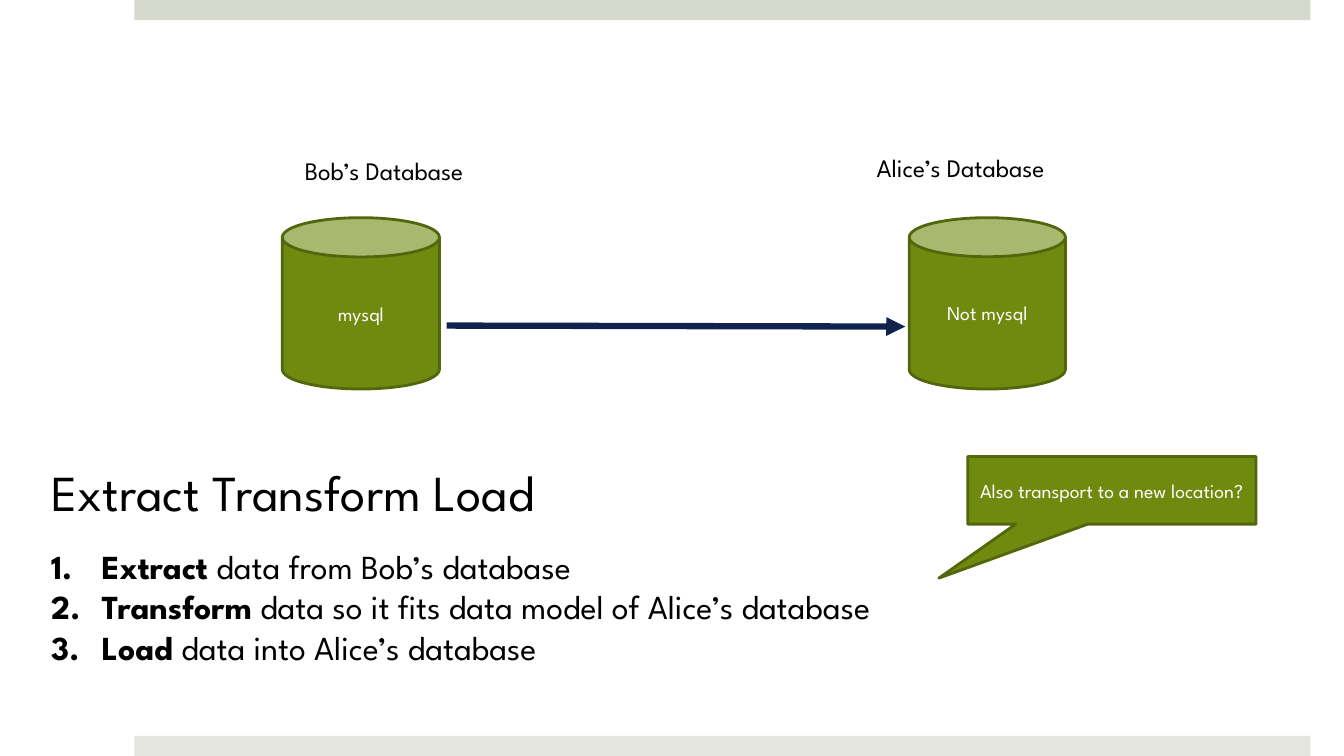
from dataclasses import dataclass

from lxml import etree
from pptx import Presentation
from pptx.dml.color import RGBColor
from pptx.enum.shapes import MSO_CONNECTOR, MSO_SHAPE
from pptx.enum.text import MSO_ANCHOR, PP_ALIGN
from pptx.oxml.ns import qn
from pptx.shapes.autoshape import Shape
from pptx.slide import Slide
from pptx.text.text import TextFrame, _Paragraph
from pptx.util import Inches, Pt

RECTANGLE = MSO_SHAPE.RECTANGLE
CAN = MSO_SHAPE.CAN
CALLOUT = MSO_SHAPE.RECTANGULAR_CALLOUT
STRAIGHT = MSO_CONNECTOR.STRAIGHT
CENTER = PP_ALIGN.CENTER
MIDDLE = MSO_ANCHOR.MIDDLE

SLIDE_WIDTH, SLIDE_HEIGHT = Inches(13.33), Inches(7.5)
COLUMNS, ROWS = 40, 30


@dataclass(frozen=True)
class Theme:
    font: str = "League Spartan"
    top_bar: str = "D6D9CD"
    bottom_bar: str = "E4E6DE"
    fill: str = "6F8A0F"
    outline: str = "52660B"
    arrow: str = "10224E"
    light_text: str = "FFFFFF"
    dark_text: str = "000000"
    small: int = 14
    label: int = 18
    body: int = 24
    title: int = 36
    outline_width: float = 2
    arrow_width: float = 4.5
    list_gap: int = 17


THEME = Theme()


@dataclass(frozen=True)
class Area:
    """A box in grid columns and rows."""
    column: float
    row: float
    columns: float
    rows: float

    def box(self) -> tuple[int, int, int, int]:
        return (across(self.column), down(self.row),
                across(self.columns), down(self.rows))


@dataclass(frozen=True)
class Bar:
    row: float
    color: str


@dataclass(frozen=True)
class Database:
    label: str
    engine: str
    label_area: Area
    can_area: Area


@dataclass(frozen=True)
class Step:
    verb: str
    detail: str


BARS = (Bar(0, THEME.top_bar), Bar(29.2, THEME.bottom_bar))
DATABASES = (
    Database("Bob’s Database", "mysql",
             Area(6.93, 5.96, 9, 1.6), Area(8.4, 8.64, 4.68, 6.8)),
    Database("Alice’s Database", "Not mysql",
             Area(24.09, 5.84, 9, 1.6), Area(27.06, 8.64, 4.65, 6.8)),
)
STEPS = (
    Step("Extract", " data from Bob’s database"),
    Step("Transform", " data so it fits data model of Alice’s database"),
    Step("Load", " data into Alice’s database"),
)
STEPS_AREA = Area(1.23, 18.12, 32.85, 8.6)
CALLOUT_AREA = Area(28.8, 18.12, 8.58, 2.68)


def across(columns: float) -> int:
    return round(SLIDE_WIDTH * columns / COLUMNS)


def down(rows: float) -> int:
    return round(SLIDE_HEIGHT * rows / ROWS)


def set_font(paragraph: _Paragraph, size: int, color: str) -> None:
    paragraph.font.name = THEME.font
    paragraph.font.size = Pt(size)
    paragraph.font.color.rgb = RGBColor.from_string(color)


def add_filled_shape(slide: Slide, kind: MSO_SHAPE, area: Area, color: str) -> Shape:
    shape = slide.shapes.add_shape(kind, *area.box())
    shape.shadow.inherit = False
    shape.fill.solid()
    shape.fill.fore_color.rgb = RGBColor.from_string(color)
    shape.line.fill.background()
    return shape


def add_captioned_shape(slide: Slide, kind: MSO_SHAPE, area: Area, caption: str) -> Shape:
    shape = add_filled_shape(slide, kind, area, THEME.fill)
    shape.line.color.rgb = RGBColor.from_string(THEME.outline)
    shape.line.width = Pt(THEME.outline_width)
    shape.text_frame.word_wrap = True
    shape.text_frame.vertical_anchor = MIDDLE
    paragraph = shape.text_frame.paragraphs[0]
    paragraph.text = caption
    paragraph.alignment = CENTER
    set_font(paragraph, THEME.small, THEME.light_text)
    return shape


def add_text_frame(slide: Slide, area: Area) -> TextFrame:
    frame = slide.shapes.add_textbox(*area.box()).text_frame
    frame.word_wrap = True
    return frame


def add_database(slide: Slide, database: Database) -> None:
    add_captioned_shape(slide, CAN, database.can_area, database.engine)
    paragraph = add_text_frame(slide, database.label_area).paragraphs[0]
    paragraph.text = database.label
    paragraph.alignment = CENTER
    set_font(paragraph, THEME.label, THEME.dark_text)


def add_arrow(slide: Slide) -> None:
    arrow = slide.shapes.add_connector(
        STRAIGHT, across(13.29), down(12.92), across(26.94), down(12.96))
    arrow.line.color.rgb = RGBColor.from_string(THEME.arrow)
    arrow.line.width = Pt(THEME.arrow_width)
    properties = arrow.element.spPr
    etree.SubElement(properties.find(qn("a:ln")), qn("a:tailEnd"), type="triangle")
    etree.SubElement(properties, qn("a:effectLst"))


def number_paragraph(paragraph: _Paragraph) -> None:
    properties = paragraph._p.get_or_add_pPr()
    properties.set("marL", str(Inches(0.5)))
    properties.set("indent", str(-Inches(0.5)))
    etree.SubElement(properties, qn("a:buFont"), typeface="+mj-lt")
    etree.SubElement(properties, qn("a:buAutoNum"), type="arabicPeriod")


def add_steps(slide: Slide) -> None:
    frame = add_text_frame(slide, STEPS_AREA)
    title = frame.paragraphs[0]
    title.text = "Extract Transform Load"
    title.space_after = Pt(THEME.list_gap)
    set_font(title, THEME.title, THEME.dark_text)
    for step in STEPS:
        paragraph = frame.add_paragraph()
        number_paragraph(paragraph)
        set_font(paragraph, THEME.body, THEME.dark_text)
        for text, bold in ((step.verb, True), (step.detail, False)):
            run = paragraph.add_run()
            run.text = text
            run.font.bold = bold


def main() -> None:
    presentation = Presentation()
    presentation.slide_width = SLIDE_WIDTH
    presentation.slide_height = SLIDE_HEIGHT
    slide = presentation.slides.add_slide(presentation.slide_layouts[6])
    for bar in BARS:
        add_filled_shape(slide, RECTANGLE, Area(4, bar.row, 35, 0.8), bar.color)
    for database in DATABASES:
        add_database(slide, database)
    add_arrow(slide)
    add_steps(slide)
    callout = add_captioned_shape(
        slide, CALLOUT, CALLOUT_AREA, "Also transport to a new location?")
    callout.adjustments[0] = -0.6
    callout.adjustments[1] = 1.3
    presentation.save("out.pptx")


if __name__ == "__main__":
    main()
